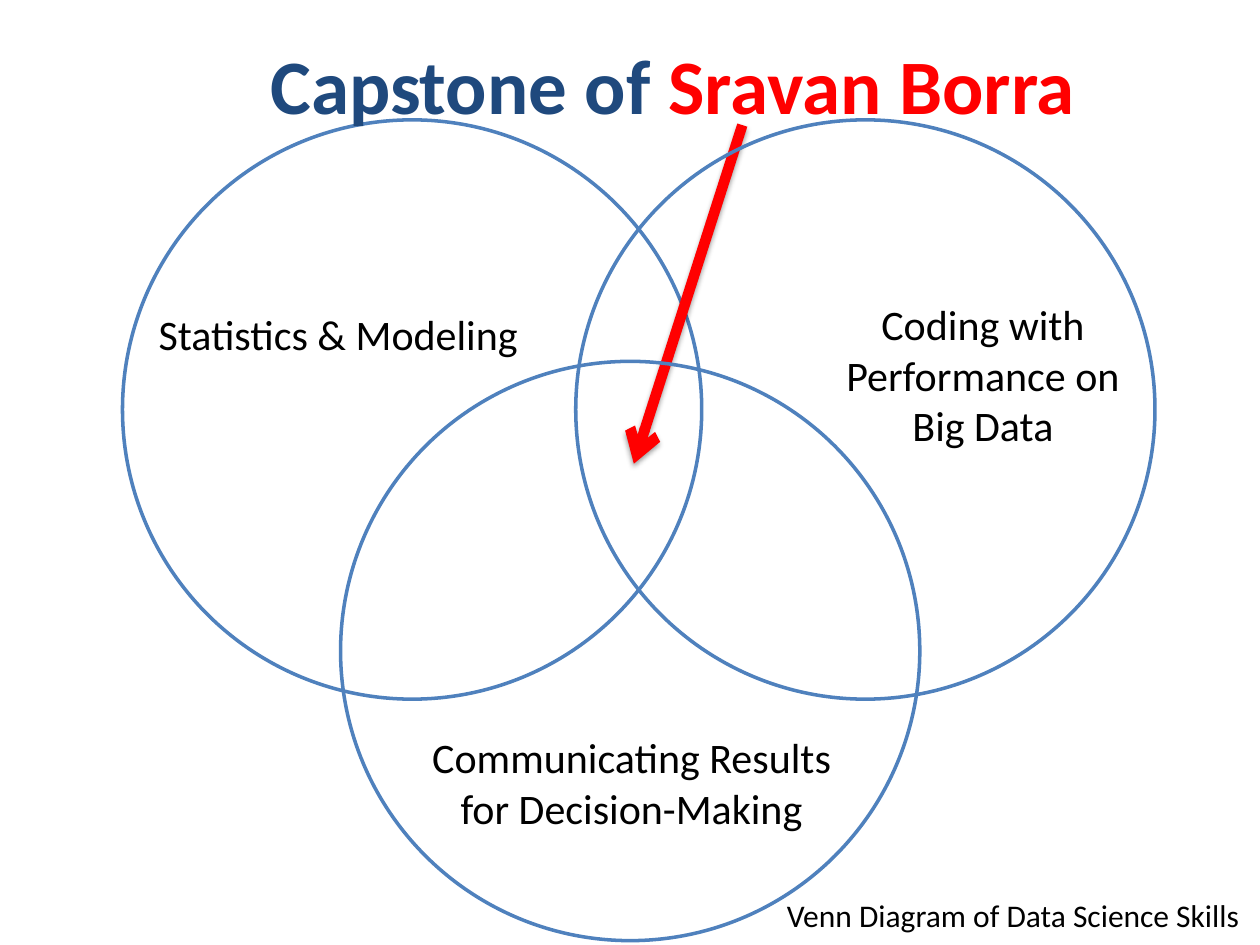
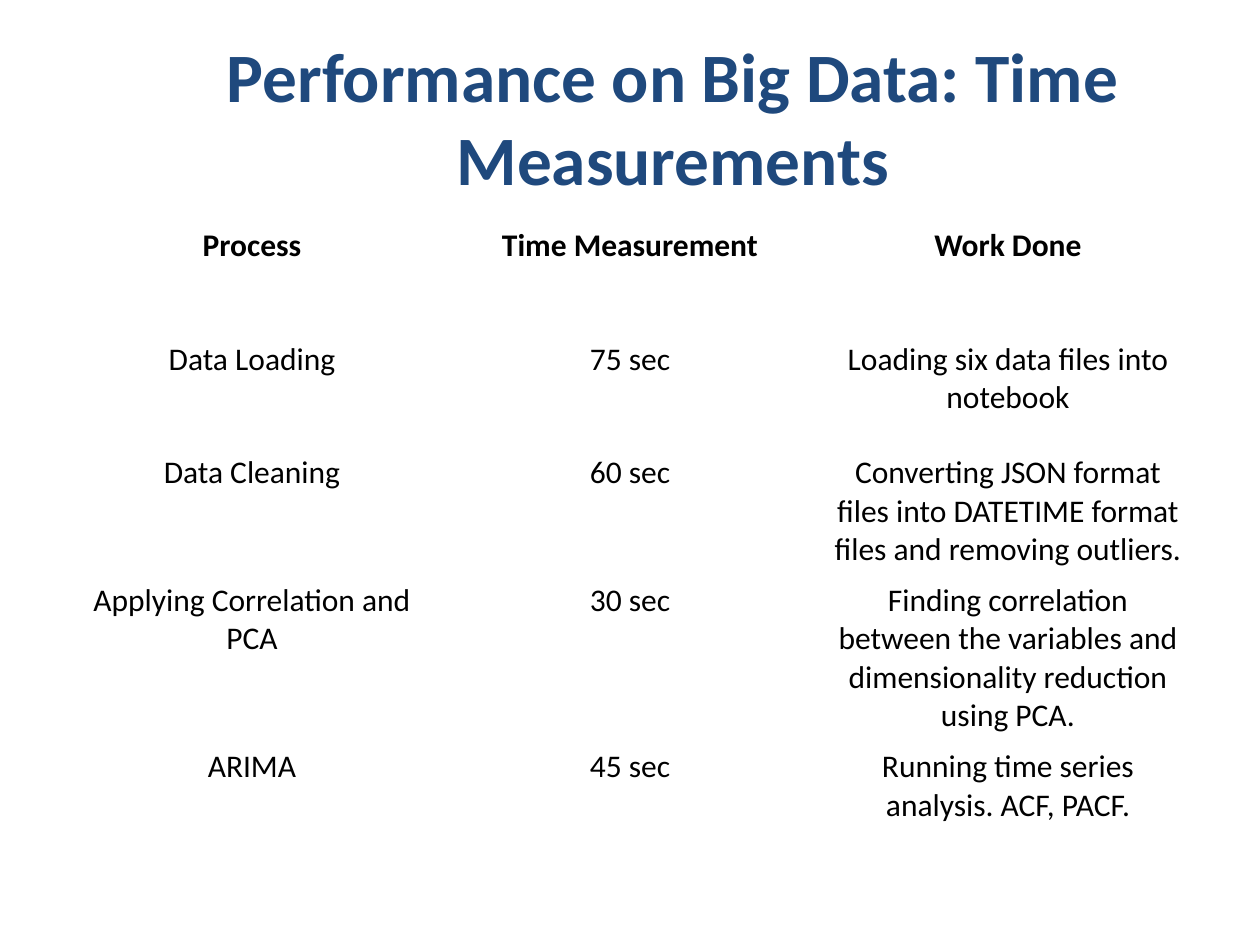
from lxml import etree
from pptx import Presentation
from pptx.dml.color import RGBColor
from pptx.enum.shapes import MSO_CONNECTOR, MSO_SHAPE
from pptx.enum.text import MSO_ANCHOR, PP_ALIGN
from pptx.oxml import parse_xml
from pptx.oxml.ns import nsdecls, qn
from pptx.util import Pt

FONT = "Calibri"
NAVY = RGBColor(0x1F, 0x49, 0x7D)
BLUE = RGBColor(0x4F, 0x81, 0xBD)
RED = RGBColor(0xFF, 0, 0)
BLACK = RGBColor(0, 0, 0)
WHITE = RGBColor(0xFF, 0xFF, 0xFF)
OVAL = MSO_SHAPE.OVAL
STRAIGHT = MSO_CONNECTOR.STRAIGHT
LEFT, CENTER = PP_ALIGN.LEFT, PP_ALIGN.CENTER
TOP, MIDDLE = MSO_ANCHOR.TOP, MSO_ANCHOR.MIDDLE

# Venn diagram: lengths in points
OWNER = [("Capstone of ", NAVY), ("Sravan Borra", RED)]
CAPTION = ("Venn Diagram of Data Science Skills", (442.6, 508.5, 277.2, 29))
SKILLS = [
    ("Communicating Results for Decision-Making", (231.4, 414.7, 259, 65.5), True),
    ("Coding with Performance on Big Data", (466.2, 167.2, 191, 94.5), True),
    ("Statistics & Modeling", (82, 173, 222.5, 36), False),
]
SIZE = 331
CIRCLES = [(70, 68.5), (329, 68.5), (194.6, 206.5)]
ARROW = (424.2, 71.5, 362.2, 265)

# Time table: each row with its height
HEADING = [("Performance on Big Data: Time Measurements", NAVY)]
ROWS = [
    (64.8, "Process", "Time Measurement", "Work Done"),
    (64.8, "Data Loading", "75 sec", "Loading six data files into notebook"),
    (73, "Data Cleaning", "60 sec", "Converting JSON format files into "
     "DATETIME format files and removing outliers."),
    (95, "Applying Correlation and PCA", "30 sec", "Finding correlation between "
     "the variables and dimensionality reduction using PCA."),
    (64.8, "ARIMA", "45 sec", "Running time series analysis. ACF, PACF."),
]
COL_W = 216

SHADOW = (f'<a:effectLst {nsdecls("a")}>'
          '<a:outerShdw blurRad="39370" dist="20320" dir="5400000" rotWithShape="0">'
          '<a:srgbClr val="000000"><a:alpha val="38000"/></a:srgbClr>'
          '</a:outerShdw></a:effectLst>')


def style(para, size, color=BLACK, bold=False, align=CENTER):
    para.alignment = align
    for run in para.runs:
        font = run.font
        font.name, font.size, font.bold = FONT, Pt(size), bold
        font.color.rgb = color


def add_text(slide, text, box, size, align=CENTER, wrap=True):
    shape = slide.shapes.add_textbox(*map(Pt, box))
    frame = shape.text_frame
    frame.word_wrap = wrap
    frame.text = text
    style(frame.paragraphs[0], size, align=align)
    return shape


def add_title(slide, parts, top, size):
    """Centred bold title whose parts each have their own colour."""
    shape = add_text(slide, "", (85, top, 599, 90), size)
    frame = shape.text_frame
    frame.vertical_anchor = MIDDLE
    para = frame.paragraphs[0]
    for text, _ in parts:
        para.add_run().text = text
    style(para, size, bold=True)
    for run, (_, color) in zip(para.runs, parts):
        run.font.color.rgb = color
    return shape


def add_circle(slide, left, top):
    ring = slide.shapes.add_shape(OVAL, *map(Pt, (left, top, SIZE, SIZE)))
    ring.shadow.inherit = False
    ring.fill.background()
    ring.line.color.rgb = BLUE
    ring.line.width = Pt(2)


def add_arrow(slide, ends):
    arrow = slide.shapes.add_connector(STRAIGHT, *map(Pt, ends))
    arrow.line.color.rgb = RED
    arrow.line.width = Pt(6)
    etree.SubElement(arrow.line._get_or_add_ln(), qn("a:tailEnd"), type="arrow")
    arrow._element.spPr.append(parse_xml(SHADOW))


def add_table(slide, rows, left, top):
    wide = len(rows[0]) - 1
    tall = sum(row[0] for row in rows)
    box = (left, top, wide * COL_W, tall)
    table = slide.shapes.add_table(len(rows), wide, *map(Pt, box)).table
    table.first_row = table.horz_banding = False
    for col in table.columns:
        col.width = Pt(COL_W)
    for r, (height, *texts) in enumerate(rows):
        table.rows[r].height = Pt(height)
        for c, text in enumerate(texts):
            cell = table.cell(r, c)
            cell.fill.background()
            cell.vertical_anchor = TOP
            cell.text_frame.text = text
            style(cell.text_frame.paragraphs[0], 18, bold=r == 0)


def build_venn(slide):
    first, *others = CIRCLES
    add_circle(slide, *first)
    add_title(slide, OWNER, 3, 44)
    add_text(slide, *CAPTION, 18, LEFT, wrap=False)
    add_arrow(slide, ARROW)
    for spot in others:
        add_circle(slide, *spot)
    for text, box, wrap in SKILLS:
        add_text(slide, text, box, 24, wrap=wrap)


def build_times(slide):
    title = add_title(slide, HEADING, 21.6, 39.6)
    title.fill.solid()
    title.fill.fore_color.rgb = WHITE
    add_table(slide, ROWS, 36, 126)


def main():
    deck = Presentation()
    deck.slide_width, deck.slide_height = Pt(720), Pt(540)
    blank = deck.slide_layouts[6]
    for build in (build_venn, build_times):
        build(deck.slides.add_slide(blank))
    deck.save("out.pptx")


if __name__ == "__main__":
    main()
